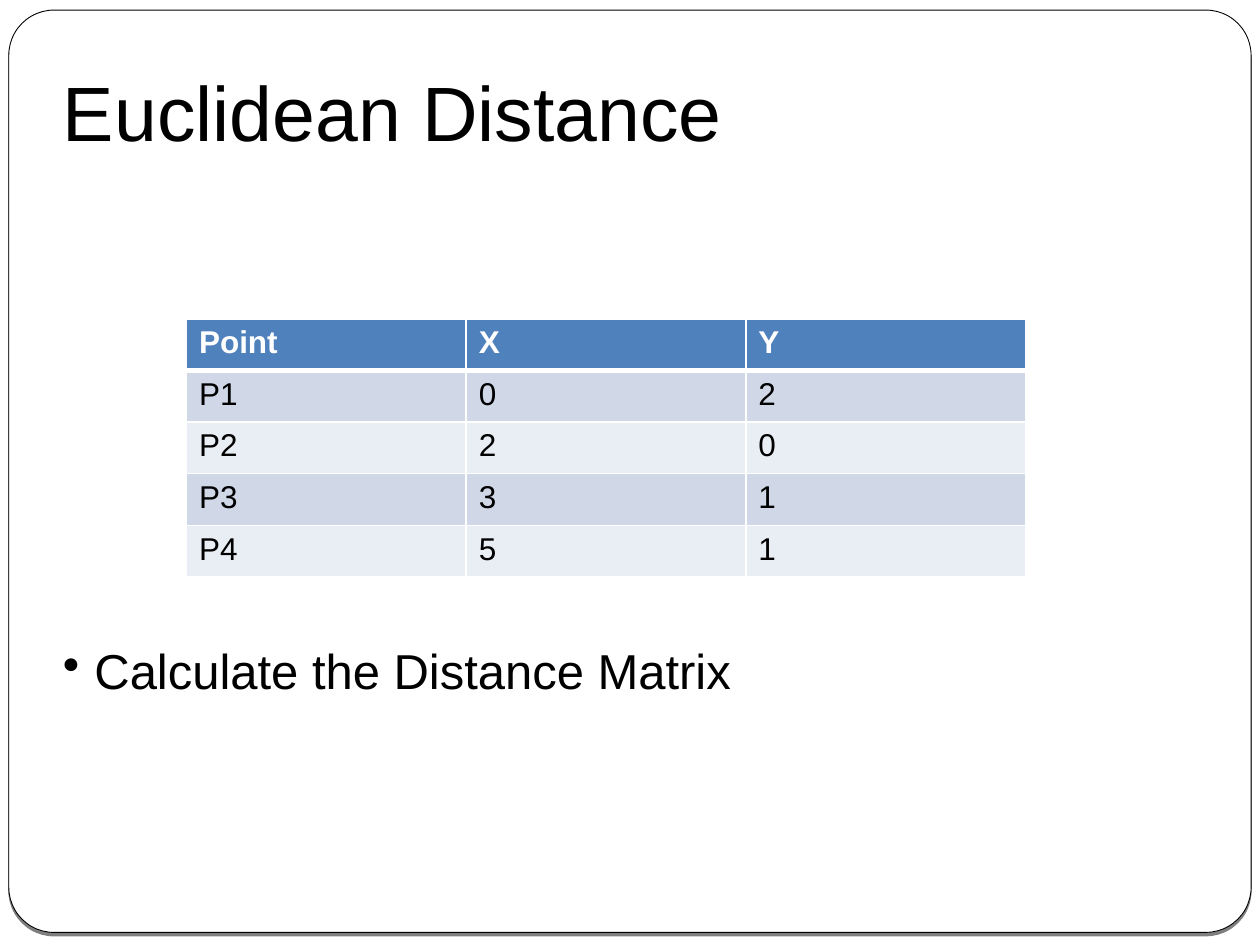
from lxml import etree
from pptx import Presentation
from pptx.dml.color import RGBColor
from pptx.enum.shapes import MSO_SHAPE
from pptx.enum.text import MSO_ANCHOR
from pptx.oxml import parse_xml
from pptx.oxml.ns import nsdecls, qn
from pptx.util import Inches, Pt

ROUNDED = MSO_SHAPE.ROUNDED_RECTANGLE
MIDDLE, BOTTOM = MSO_ANCHOR.MIDDLE, MSO_ANCHOR.BOTTOM

# Content
TITLE = "Euclidean Distance"
TASK = "Calculate the Distance Matrix"
POINTS = [
    ("Point", "X", "Y"),
    ("P1", "0", "2"),
    ("P2", "2", "0"),
    ("P3", "3", "1"),
    ("P4", "5", "1"),
]

THEME = {
    "font": "Arial", "title": 44, "body": 28, "cell": 18,
    "ink": "000000", "paper": "FFFFFF", "header": "4F81BD",
    "bands": ("D0D8E8", "E9EDF4"),
}

# Layout in inches
W, H = 10, 7.5
MARGIN = 0.05 * W
TEXT_W = W - 2 * MARGIN
COL_W, ROW_H = 2.22, 0.41
TABLE_X, TABLE_Y = 1.48, 2.53


def rgb(name):
    return RGBColor.from_string(THEME.get(name, name))


def style(p, size, color="ink", bold=False):
    f = p.font
    f.name, f.size, f.bold = THEME["font"], Pt(THEME[size]), bold
    f.color.rgb = rgb(color)


def add_text(s, text, y, h, size, anchor):
    tf = s.shapes.add_textbox(*map(Inches, (MARGIN, y, TEXT_W, h))).text_frame
    tf.word_wrap, tf.vertical_anchor = True, anchor
    tf.margin_left = tf.margin_right = tf.margin_top = tf.margin_bottom = 0
    p = tf.paragraphs[0]
    p.text, p.line_spacing = text, 0.9
    style(p, size)
    return p


def set_borders(cell, widths):
    tcPr = cell._tc.get_or_add_tcPr()
    for i, (side, width) in enumerate(widths.items()):
        tcPr.insert(i, parse_xml(
            f'<a:ln{side} {nsdecls("a")} w="{Pt(width)}"><a:solidFill>'
            f'<a:srgbClr val="{THEME["paper"]}"/></a:solidFill></a:ln{side}>'))


prs = Presentation()
prs.slide_width, prs.slide_height = Inches(W), Inches(H)
s = prs.slides.add_slide(prs.slide_layouts[6])

# Rounded frame with a slim shadow below
frame = s.shapes.add_shape(ROUNDED, *map(Inches, (0.07, 0.08, 9.86, 7.32)))
frame.adjustments[0] = 0.049
frame.fill.solid()
frame.fill.fore_color.rgb = rgb("paper")
frame.line.color.rgb = rgb("ink")
frame.line.width = Pt(0.5)
frame.shadow.inherit = False
effects = frame._element.spPr.find(qn("a:effectLst"))
shadow = etree.SubElement(effects, qn("a:outerShdw"), blurRad="0",
                          dist=str(Pt(2)), dir="5400000", rotWithShape="0")
shade = etree.SubElement(shadow, qn("a:srgbClr"), val=THEME["ink"])
etree.SubElement(shade, qn("a:alpha"), val="50000")

# Title
add_text(s, TITLE, 0.59, 0.67, "title", MIDDLE)

# Bulleted task, at the foot of the body area
p = add_text(s, TASK, 2.31, 3.25, "body", BOTTOM)
pPr = p._p.get_or_add_pPr()
pPr.set("marL", str(Inches(0.25)))
pPr.set("indent", str(-Inches(0.25)))
bullet = parse_xml(f'<a:buChar {nsdecls("a")} char="•"/>')
pPr.find(qn("a:lnSpc")).addnext(bullet)

# Table of points
n_rows, n_cols = len(POINTS), len(POINTS[0])
table = s.shapes.add_table(
    n_rows, n_cols, Inches(TABLE_X), Inches(TABLE_Y),
    Inches(COL_W * n_cols), Inches(ROW_H * n_rows)).table
for r, row in enumerate(POINTS):
    header = r == 0
    for c, text in enumerate(row):
        cell = table.cell(r, c)
        cell.text = text
        style(cell.text_frame.paragraphs[0], "cell",
              "paper" if header else "ink", header)
        cell.fill.solid()
        cell.fill.fore_color.rgb = rgb(
            "header" if header else THEME["bands"][(r - 1) % 2])
        set_borders(cell, {"L": 1, "R": 1, "T": 3 if r == 1 else 1,
                           "B": 3 if header else 1})

prs.save("out.pptx")
